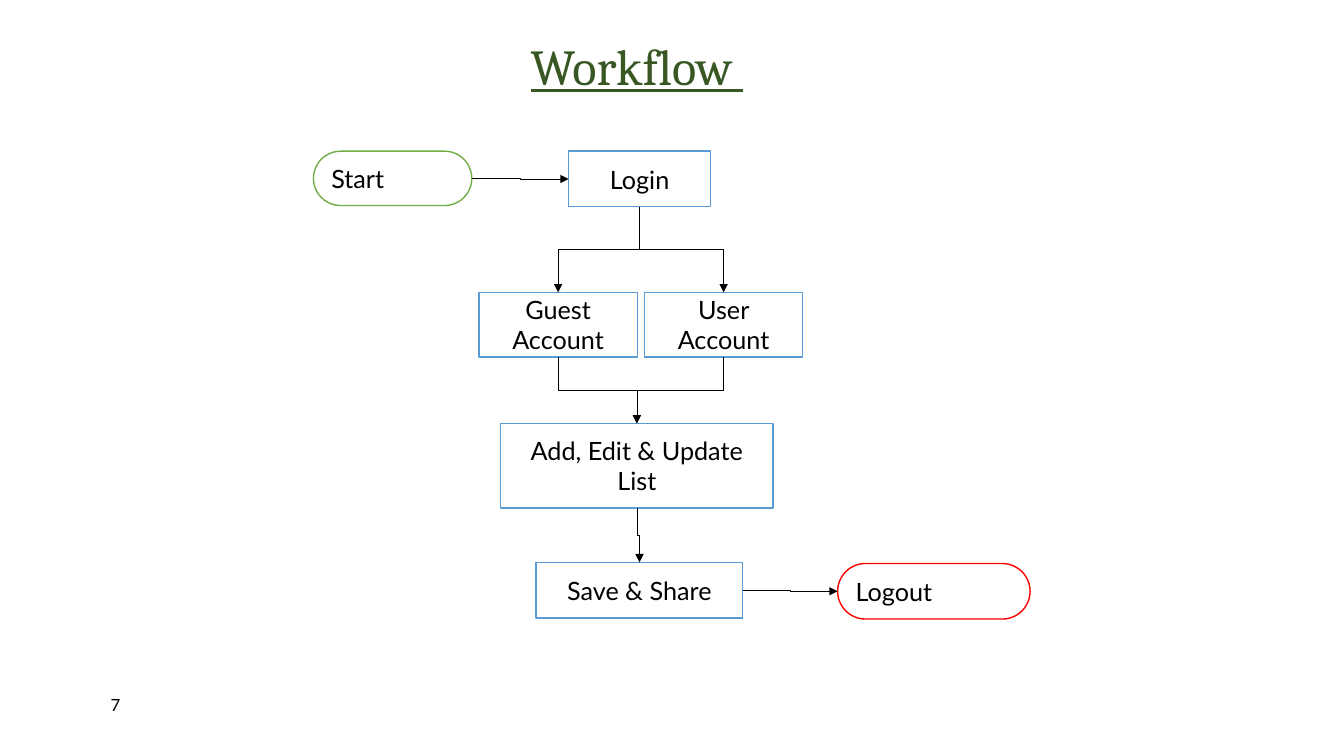
from dataclasses import dataclass

from lxml.etree import SubElement
from pptx import Presentation
from pptx.dml.color import RGBColor
from pptx.enum.shapes import MSO_CONNECTOR, MSO_SHAPE
from pptx.enum.text import MSO_ANCHOR, PP_ALIGN
from pptx.oxml.ns import qn
from pptx.util import Cm, Pt


@dataclass(frozen=True)
class Theme:
    ink: str = "000000"
    paper: str = "FFFFFF"
    title: str = "385723"
    step: str = "5B9BD5"
    start: str = "70AD47"
    end: str = "FF0000"
    heading_font: str = "Cambria"
    body_font: str = "Lato"
    title_size: int = 36
    body_size: int = 18
    number_size: int = 12
    outline: float = 1
    arrow: float = 0.5


TOP, LEFT, BOTTOM, RIGHT = range(4)


class Deck:
    def __init__(self, prs, theme):
        self.theme = theme
        self.s = prs.slides.add_slide(prs.slide_layouts[6])

    def fill_text(self, sp, text, align, anchor, **style):
        tf = sp.text_frame
        tf.word_wrap = True
        tf.vertical_anchor = anchor
        p = tf.paragraphs[0]
        p.alignment = align
        r = p.add_run()
        r.text = text
        r.font.color.rgb = RGBColor.from_string(style.pop("color", self.theme.ink))
        for name, value in style.items():
            setattr(r.font, name, value)

    def label(self, text, box, align=PP_ALIGN.LEFT, anchor=MSO_ANCHOR.MIDDLE, **style):
        sp = self.s.shapes.add_textbox(*map(Cm, box))
        self.fill_text(sp, text, align, anchor, **style)

    def node(self, text, box, color, rounding=0, align=PP_ALIGN.CENTER):
        t = self.theme
        sp = self.s.shapes.add_shape(MSO_SHAPE.ROUNDED_RECTANGLE, *map(Cm, box))
        sp.adjustments[0] = rounding
        sp.shadow.inherit = False
        sp.fill.solid()
        sp.fill.fore_color.rgb = RGBColor.from_string(t.paper)
        sp.line.color.rgb = RGBColor.from_string(color)
        sp.line.width = Pt(t.outline)
        self.fill_text(sp, text, align, MSO_ANCHOR.MIDDLE, name=t.body_font, size=Pt(t.body_size))
        return sp

    def terminal(self, text, box, color):
        return self.node(text, box, color, 0.5, PP_ALIGN.LEFT)

    def arrow(self, source, target, leave=BOTTOM, enter=TOP):
        c = self.s.shapes.add_connector(MSO_CONNECTOR.ELBOW, 0, 0, 0, 0)
        c.begin_connect(source, leave)
        c.end_connect(target, enter)
        c.line.color.rgb = RGBColor.from_string(self.theme.ink)
        c.line.width = Pt(self.theme.arrow)
        spPr = c._element.spPr
        SubElement(spPr.find(qn("a:ln")), qn("a:tailEnd"), type="triangle")
        SubElement(spPr, qn("a:effectLst"))
        if leave == BOTTOM:
            self.turn_down(c, spPr.find(qn("a:xfrm")))

    def turn_down(self, c, xfrm):
        rightward = c.end_x > c.begin_x
        width, height = c.width, c.height
        frame = {
            "left": c.left + (width - height) // 2,
            "top": c.top + (height - width) // 2,
            "width": height,
            "height": width,
        }
        for name, value in frame.items():
            setattr(c, name, value)
        xfrm.set("rot", str((270 if rightward else 90) * 60000))
        xfrm.set("flipH", "1" if rightward else "0")


def main():
    prs = Presentation()
    prs.slide_width, prs.slide_height = Cm(33.87), Cm(19.05)
    t = Theme()
    d = Deck(prs, t)

    d.label("7", (2.54, 17.35, 1.75, 0.81), name=t.body_font, size=Pt(t.number_size))
    d.label("Workflow ", (12.27, 0.76, 7.57, 1.8), PP_ALIGN.CENTER, MSO_ANCHOR.TOP,
            name=t.heading_font, size=Pt(t.title_size), color=t.title, underline=True)

    start = d.terminal("Start", (7.9, 3.81, 3.99, 1.37), t.start)
    login = d.node("Login", (14.33, 3.81, 3.58, 1.4), t.step)
    accounts = [
        d.node(f"{kind} Account", (12.07 + 4.17 * i, 7.37, 3.99, 1.63), t.step)
        for i, kind in enumerate(("Guest", "User"))
    ]
    edit = d.node("Add, Edit & Update List", (12.62, 10.67, 6.86, 2.13), t.step)
    save = d.node("Save & Share", (13.51, 14.17, 5.21, 1.4), t.step)
    logout = d.terminal("Logout", (21.11, 14.2, 4.85, 1.4), t.end)

    for account in accounts:
        d.arrow(login, account)
        d.arrow(account, edit)
    d.arrow(edit, save)
    d.arrow(start, login, RIGHT, LEFT)
    d.arrow(save, logout, RIGHT, LEFT)

    prs.save("out.pptx")


if __name__ == "__main__":
    main()
